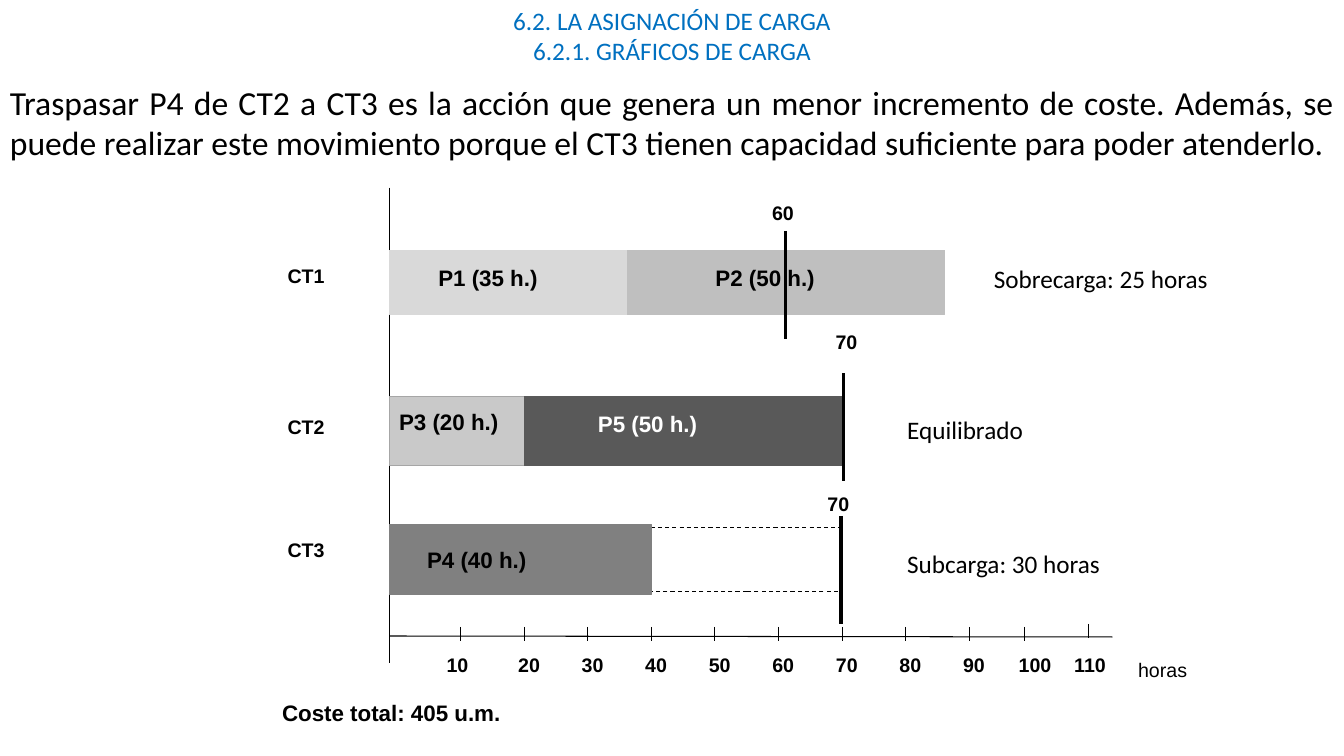
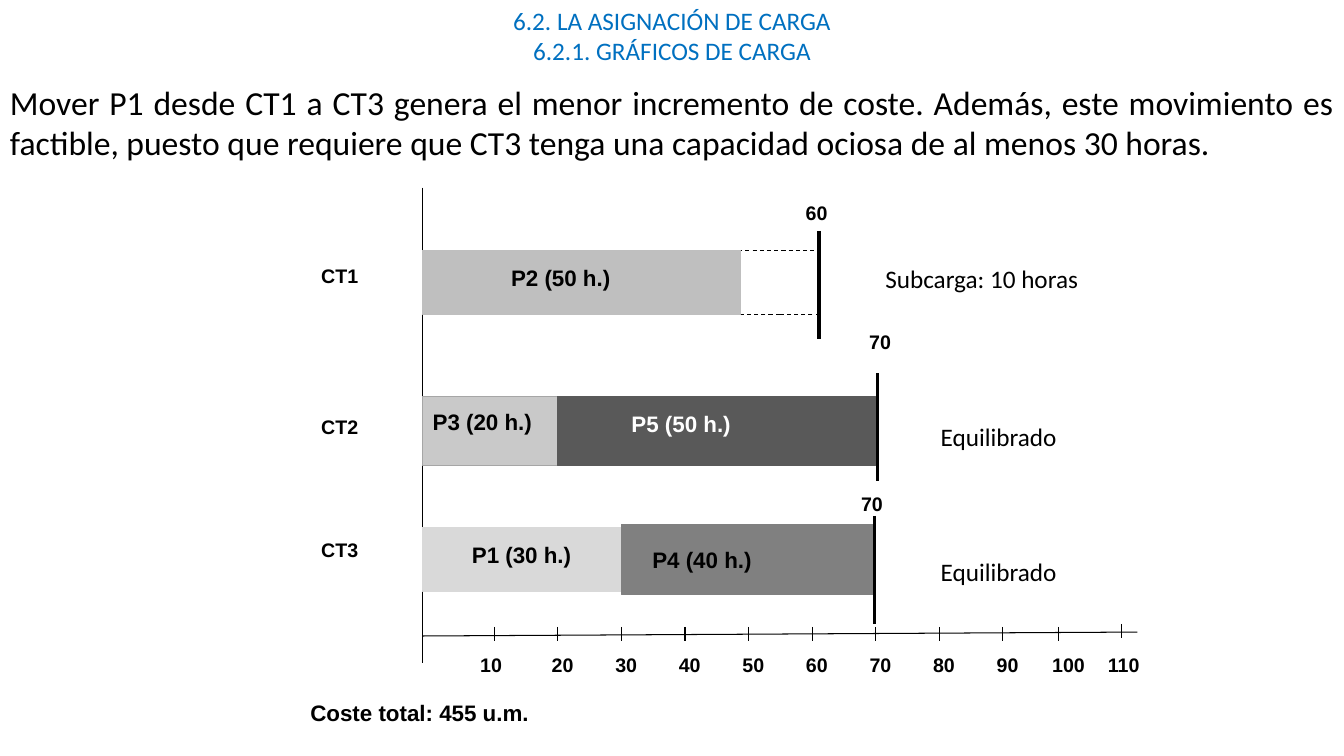
"""Build two slides that show load charts per work centre."""
from typing import NamedTuple

from lxml.etree import SubElement
from pptx import Presentation
from pptx.dml.color import RGBColor
from pptx.enum.dml import MSO_LINE
from pptx.enum.shapes import MSO_CONNECTOR, MSO_SHAPE
from pptx.enum.text import MSO_ANCHOR, MSO_AUTO_SIZE, PP_ALIGN
from pptx.oxml.ns import qn
from pptx.util import Pt

BLACK = RGBColor(0x00, 0x00, 0x00)
WHITE = RGBColor(0xFF, 0xFF, 0xFF)
BLUE = RGBColor(0x00, 0x70, 0xC0)
PALE_GREY = RGBColor(0xD9, 0xD9, 0xD9)
LIGHT_GREY = RGBColor(0xBF, 0xBF, 0xBF)
MID_GREY = RGBColor(0xA6, 0xA6, 0xA6)
GREY = RGBColor(0x80, 0x80, 0x80)
DARK_GREY = RGBColor(0x59, 0x59, 0x59)

WIDTH, HEIGHT = 960, 540
TITLE = ("6.2. LA ASIGNACIÓN DE CARGA", "6.2.1. GRÁFICOS DE CARGA")
HOUR = 4.54
AXIS_Y = 454.3


class Product(NamedTuple):
    """Look of the bar of one product."""
    fill: RGBColor
    height: float
    label_dy: float
    opacity: int = 100
    font_color: RGBColor = BLACK


class Centre(NamedTuple):
    """Vertical layout of one work centre and its capacity mark."""
    middle: float
    label_y: float
    capacity: int
    mark_x: float
    mark_top: float
    number_x: float
    number_y: float


PRODUCTS = {
    "P1": Product(PALE_GREY, 46, -16.5),
    "P2": Product(LIGHT_GREY, 46, -16.5),
    "P3": Product(MID_GREY, 49.7, -20, opacity=60),
    "P4": Product(GREY, 49.7, -13.4),
    "P5": Product(DARK_GREY, 49.7, -18.6, font_color=WHITE),
}
CENTRES = {
    "CT1": Centre(201.6, 185, 60, 283, 164.9, 266.4, 139.7),
    "CT2": Centre(307.9, 293, 70, 324.7, 266.6, 311.8, 231.8),
    "CT3": Centre(399.8, 381, 70, 322.6, 368.5, 306, 347.8),
}


def hour_x(hours):
    """Return the distance of an hour mark from the vertical axis."""
    return hours * HOUR + (5.7 if hours < 100 else 0)


def add_run(p, text, size, name, color=BLACK, bold=False):
    """Add a formatted run to a paragraph."""
    r = p.add_run()
    r.text = text
    r.font.size = Pt(size)
    r.font.name = name
    r.font.bold = bold
    r.font.color.rgb = color


def add_title(s):
    """Place and fill the two-line title."""
    sp = s.shapes.title
    sp.left, sp.top, sp.width, sp.height = Pt(0), Pt(0), Pt(WIDTH), Pt(51)
    tf = sp.text_frame
    tf.auto_size = MSO_AUTO_SIZE.NONE
    tf.vertical_anchor = MSO_ANCHOR.TOP
    for i, line in enumerate(TITLE):
        p = tf.add_paragraph() if i else tf.paragraphs[0]
        p.alignment = PP_ALIGN.CENTER
        add_run(p, line, 18, "Calibri", BLUE)


def add_text(s, text, x, y, w, h, size=14, name="Arial", color=BLACK,
             bold=True, align=PP_ALIGN.LEFT):
    """Add a text box with one paragraph."""
    tf = s.shapes.add_textbox(Pt(x), Pt(y), Pt(w), Pt(h)).text_frame
    tf.word_wrap = True
    p = tf.paragraphs[0]
    p.alignment = align
    add_run(p, text, size, name, color, bold)


def add_line(s, x1, y1, x2, y2, width=0.75):
    """Add a straight black line."""
    sp = s.shapes.add_connector(MSO_CONNECTOR.STRAIGHT,
                                Pt(x1), Pt(y1), Pt(x2), Pt(y2))
    sp.line.color.rgb = BLACK
    sp.line.width = Pt(width)
    SubElement(sp._element.spPr, qn("a:effectLst"))


def add_rect(s, x, y, w, h, line_color):
    """Add an unfilled rectangle with a thin outline."""
    sp = s.shapes.add_shape(MSO_SHAPE.RECTANGLE, Pt(x), Pt(y), Pt(w), Pt(h))
    sp.shadow.inherit = False
    sp.fill.background()
    sp.line.color.rgb = line_color
    sp.line.width = Pt(0.75)
    return sp


def add_bar(s, x, middle, w, code, hours, label_dx):
    """Add the bar of a product and its label."""
    product = PRODUCTS[code]
    sp = add_rect(s, x, middle - product.height / 2, w, product.height,
                  product.fill)
    sp.fill.solid()
    sp.fill.fore_color.rgb = product.fill
    if product.opacity < 100:
        color = sp._element.spPr.find(qn("a:solidFill"))[0]
        SubElement(color, qn("a:alpha"), val=str(product.opacity * 1000))
    add_text(s, f"{code} ({hours} h.)", x + label_dx,
             middle + product.label_dy, 96.5, 26.6, 16,
             color=product.font_color)


def add_idle(s, x, middle, w):
    """Add the dashed outline of unused capacity."""
    sp = add_rect(s, x, middle - 23, w, 46, BLACK)
    sp.line.dash_style = MSO_LINE.DASH


def add_axes(s, x0, end_x, end_y):
    """Draw both axes."""
    add_line(s, x0, 134, x0, 473.8)
    add_line(s, x0, AXIS_Y, x0 + end_x, end_y)


def add_scale(s, x0):
    """Draw the hour marks and their numbers."""
    for hours in range(10, 120, 10):
        x = x0 + hour_x(hours)
        top = 445.7 if hours == 110 else 447.8
        add_line(s, x, top, x, top + 10.1)
        shift = 17.2 if hours in (10, 110) else 11.5
        add_text(s, str(hours), x - shift, 463, 39.6, 24)


def add_centres(s, x0):
    """Name the work centres and mark their capacity."""
    for name, c in CENTRES.items():
        add_text(s, name, x0 - 79.7, c.label_y, 68.4, 24.5)
        x = x0 + c.mark_x
        add_line(s, x, c.mark_top, x, c.mark_top + 77.3, 2.5)
        add_text(s, str(c.capacity), x0 + c.number_x, c.number_y, 33.8, 24)


def add_load_slide(prs, text, x0, axis_end, bars, idle, states, cost):
    """Add a slide with its statement and load chart."""
    s = prs.slides.add_slide(prs.slide_layouts[5])
    add_title(s)
    add_text(s, text, 0, 54.7, WIDTH, 124.6, 24, "Calibri", bold=False,
             align=PP_ALIGN.JUSTIFY)
    add_axes(s, x0, *axis_end)
    centre, x, w = idle
    add_idle(s, x0 + x, CENTRES[centre].middle, w)
    for centre, code, hours, x, w, label_dx in bars:
        add_bar(s, x0 + x, CENTRES[centre].middle, w, code, hours, label_dx)
    add_scale(s, x0)
    add_centres(s, x0)
    for state, x, y in states:
        add_text(s, state, x0 + x, y, 185, 29, 18, "Calibri", bold=False)
    cost_text, cost_x = cost
    add_text(s, cost_text, cost_x, 496, 200, 26.6, 16)
    return s


def main():
    """Build and save the presentation."""
    prs = Presentation()
    prs.slide_width, prs.slide_height = Pt(WIDTH), Pt(HEIGHT)
    fifty = 50 * HOUR
    x20, x30, x40, x70 = (hour_x(h) for h in (20, 30, 40, 70))
    ct2_bars = [("CT2", "P3", 20, 0, x20, 0),
                ("CT2", "P5", 50, x20, fifty, 45.5)]

    x0 = 278
    s = add_load_slide(
        prs,
        "Traspasar P4 de CT2 a CT3 es la acción que genera un menor "
        "incremento de coste. Además, se puede realizar este movimiento "
        "porque el CT3 tienen capacidad suficiente para poder atenderlo.",
        x0, (516.5, 455),
        [("CT1", "P1", 35, 0, 170, 28), ("CT1", "P2", 50, 170, fifty, 56),
         *ct2_bars, ("CT3", "P4", 40, 0, x40, 20)],
        ("CT3", x40, x70 - x40),
        [("Sobrecarga: 25 horas", 424.8, 184.3),
         ("Equilibrado", 362.9, 292.3),
         ("Subcarga: 30 horas", 362.9, 388)],
        ("Coste total: 405 u.m.", 194.4))
    add_text(s, "horas", x0 + 527.8, 466.6, 60, 24.5, bold=False)

    add_load_slide(
        prs,
        "Mover P1 desde CT1 a CT3 genera el menor incremento de coste. "
        "Además, este movimiento es factible, puesto que requiere que CT3 "
        "tenga una capacidad ociosa de al menos 30 horas.",
        302, (510.5, 451.5),
        [("CT1", "P2", 50, 0, fifty, 56), *ct2_bars,
         ("CT3", "P1", 30, 0, x30, 28),
         ("CT3", "P4", 40, x30, x70 - x30, 15)],
        ("CT1", fifty, 56),
        [("Subcarga: 10 horas", 323.3, 184.3),
         ("Equilibrado", 362.9, 297.4),
         ("Equilibrado", 362.9, 393.8)],
        ("Coste total: 455 u.m.", 214.6))
    prs.save("out.pptx")


if __name__ == "__main__":
    main()
